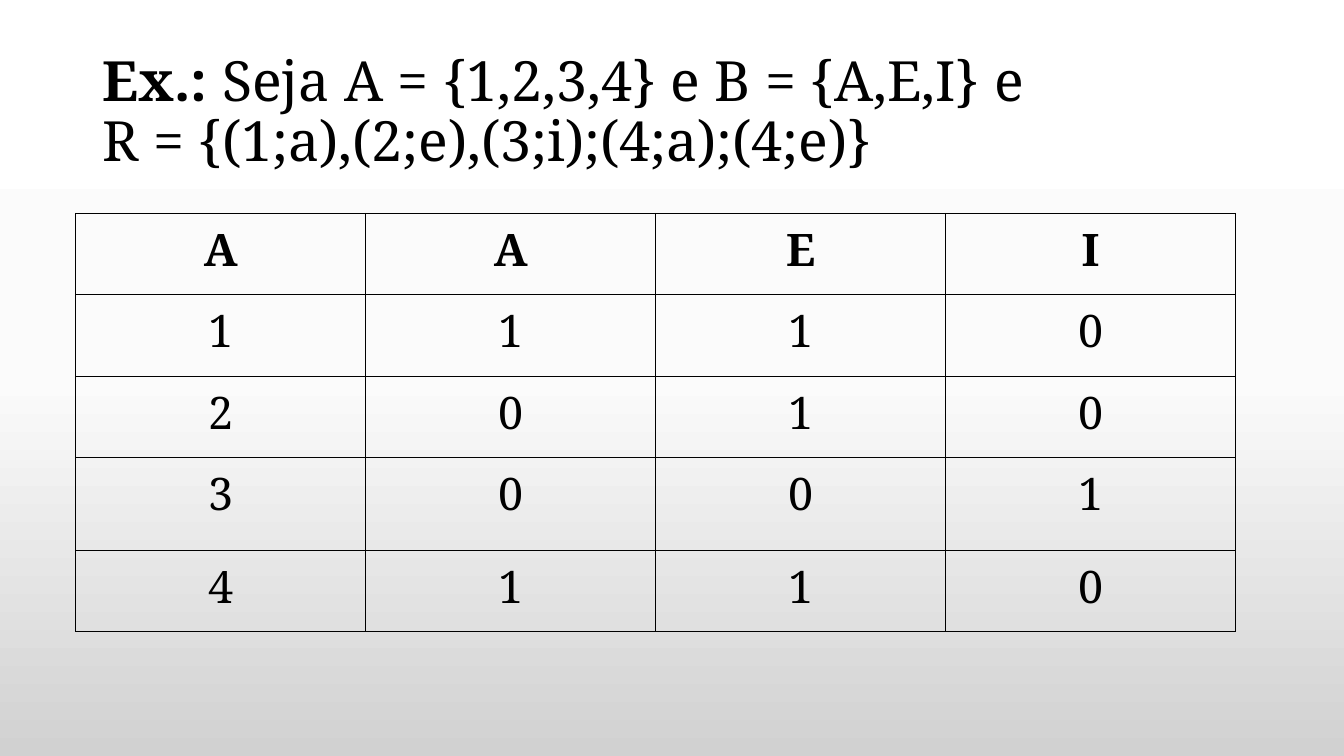
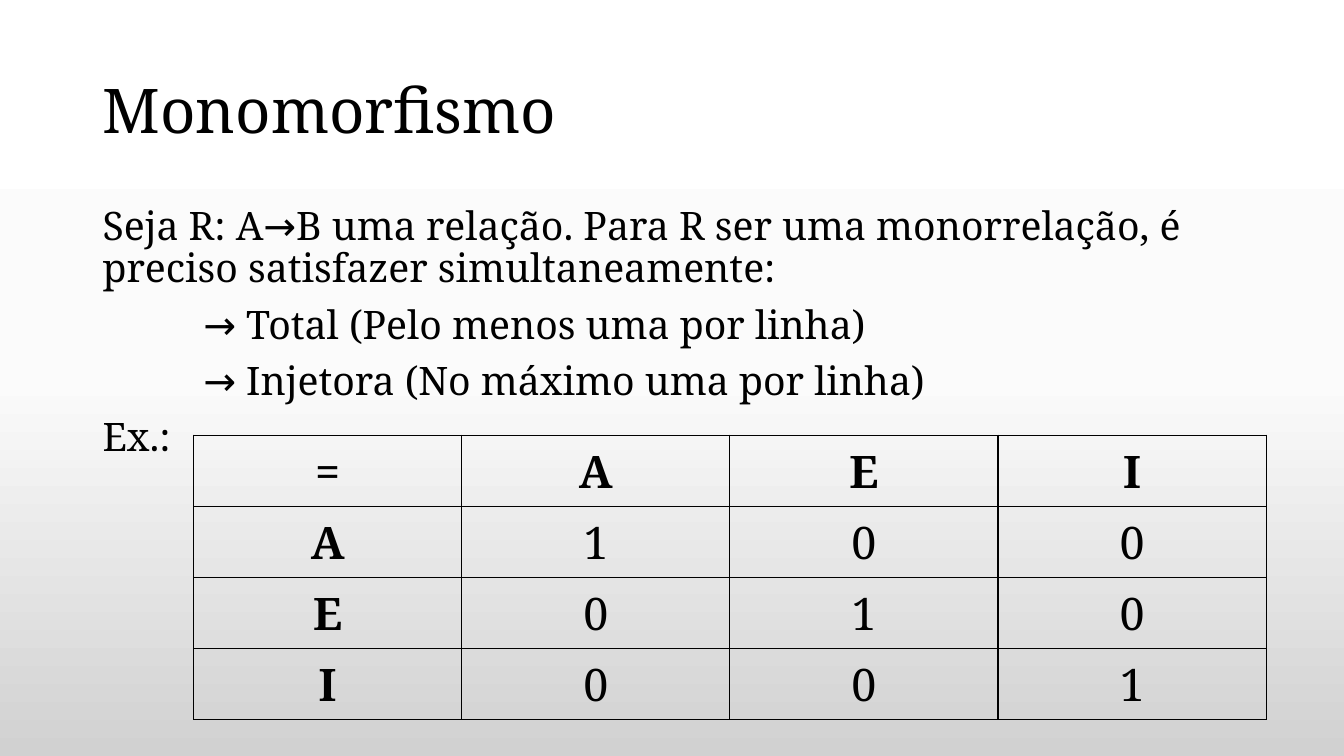
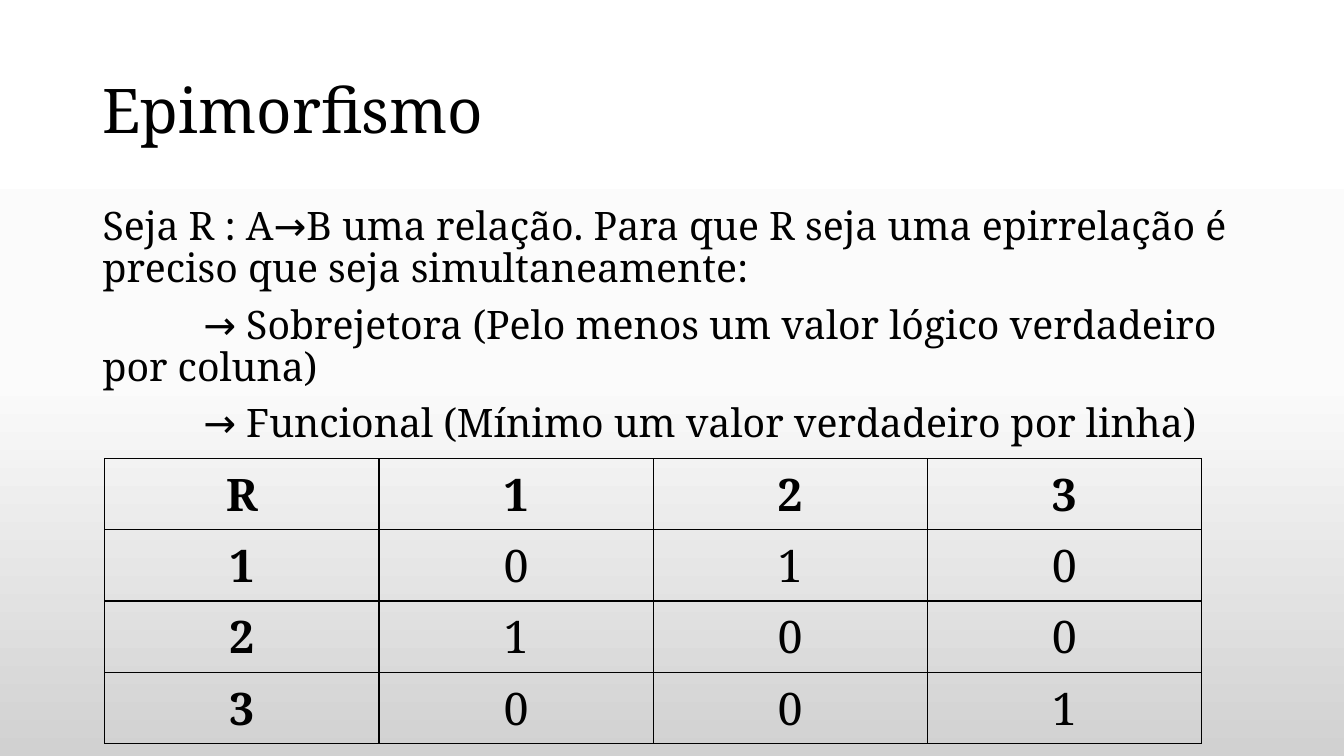
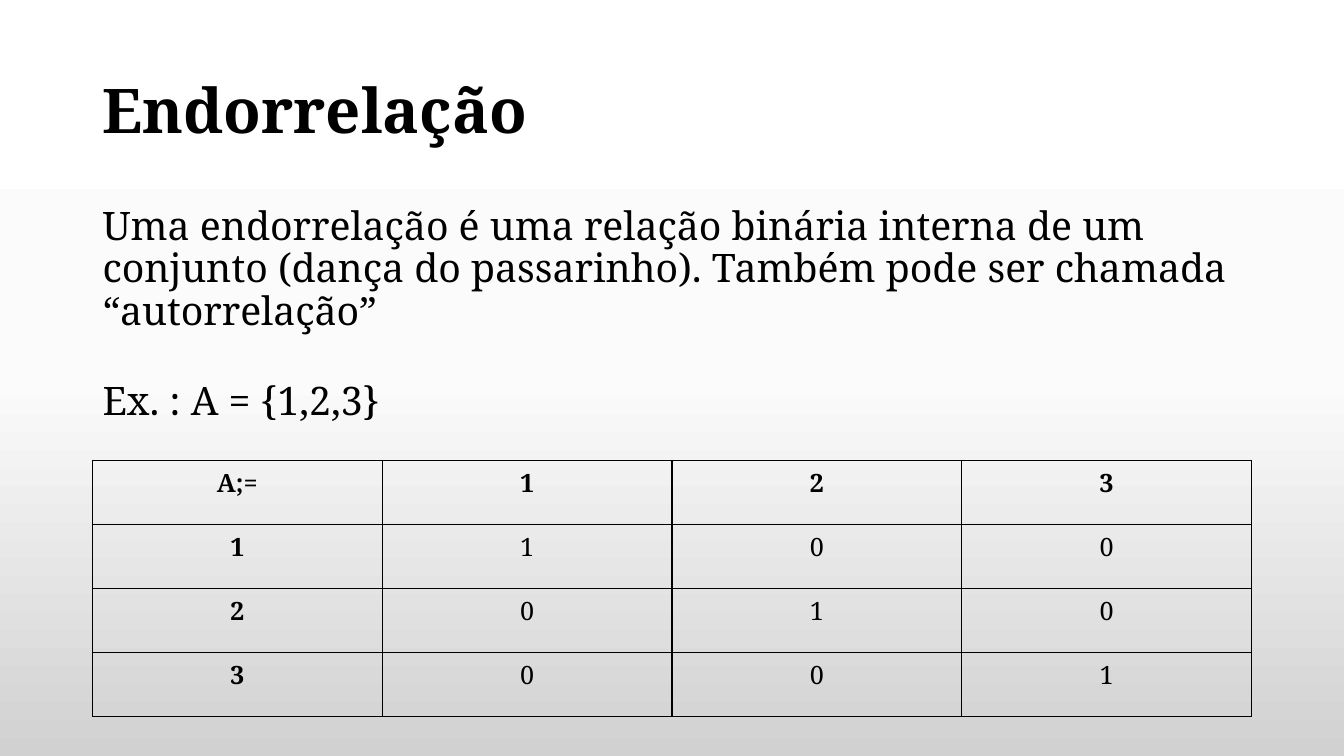
from copy import deepcopy

from lxml.etree import SubElement
from pptx import Presentation
from pptx.dml.color import RGBColor
from pptx.enum.text import MSO_ANCHOR, MSO_AUTO_SIZE, PP_ALIGN
from pptx.oxml.ns import qn
from pptx.util import Cm, Pt

# Content: title lines are lists of (text, bold); body items are (text, indented, space after)
SLIDES = [
    {
        "title": [[("Ex.: ", True), ("Seja A = {1,2,3,4} e B = {A,E,I} e", False)],
                  [("R = {(1;a),(2;e),(3;i);(4;a);(4;e)}", False)]],
        "title_size": 39.6,
        "body": [],
        "table": ["A A E I", "1 1 1 0", "2 0 1 0", "3 0 0 1", "4 1 1 0"],
        "box": (1.91, 5.38, 29.23),
        "row_heights": [2.05, 2.05, 2.05, 2.34, 2.05],
        "cell_size": 32,
        "bold_first_column": False,
    },
    {
        "title": [[("Monomorfismo", False)]],
        "title_size": 44,
        "body": [
            ("Seja R: A→B uma relação. Para R ser uma monorrelação, é preciso "
             "satisfazer simultaneamente:", False, 0),
            ("→ Total (Pelo menos uma por linha)", True, 0),
            ("→ Injetora (No máximo uma por linha)", True, 0),
            ("Ex.:", False, 0),
        ],
        "table": ["= A E I", "A 1 0 0", "E 0 1 0", "I 0 0 1"],
        "box": (4.88, 10.97, 27.03),
        "row_heights": [1.77] * 4,
        "cell_size": 32,
        "bold_first_column": True,
    },
    {
        "title": [[("Epimorfismo", False)]],
        "title_size": 44,
        "body": [
            ("Seja R : A→B uma relação. Para que R seja uma epirrelação é preciso "
             "que seja simultaneamente:", False, 0),
            ("→ Sobrejetora (Pelo menos um valor lógico verdadeiro por coluna)", True, 0),
            ("→ Funcional (Mínimo um valor verdadeiro por linha)", True, 0),
        ],
        "table": ["R 1 2 3", "1 0 1 0", "2 1 0 0", "3 0 0 1"],
        "box": (2.64, 11.56, 27.64),
        "row_heights": [1.62] * 4,
        "cell_size": 32,
        "bold_first_column": True,
    },
    {
        "title": [[("Endorrelação", True)]],
        "title_size": 44,
        "body": [
            ("Uma endorrelação é uma relação binária interna de um conjunto (dança do "
             "passarinho). Também pode ser chamada “autorrelação”", False, 24),
            ("Ex. : A = {1,2,3}", False, 0),
        ],
        "table": ["A;= 1 2 3", "1 1 0 0", "2 0 1 0", "3 0 0 1"],
        "box": (2.33, 11.61, 29.21),
        "row_heights": [1.61] * 4,
        "cell_size": 18,
        "bold_first_column": True,
    },
]

# Shared style
FONT = "Noto Serif"
INK = "000000"
BACKGROUND = [(0, "FFFFFF"), (0.5, "FBFBFB"), (1, "D1D1D1")]
TITLE_BOX = (2.33, 1.02, 29.21, 3.68)
BODY_BOX = (2.33, 5.08, 29.21, 12.09)
BODY_SIZE = 28
INDENT = Cm(2.54)
BORDER = Pt(1)


def color(value):
    return RGBColor.from_string(value)


def style(span, size, bold=False):
    span.font.name = FONT
    span.font.size = Pt(size)
    span.font.bold = bold
    span.font.color.rgb = color(INK)


def place(shape, box):
    shape.left, shape.top, shape.width, shape.height = map(Cm, box)


def set_up_master(master):
    fill = master.background.fill
    fill.gradient()
    fill.gradient_angle = 270
    stops = next(master.element.iter(qn("a:gsLst")))
    stops.append(deepcopy(stops[0]))
    for stop, (position, shade) in zip(fill.gradient_stops, BACKGROUND):
        stop.position = position
        stop.color.rgb = color(shade)
    for index, box in enumerate((TITLE_BOX, BODY_BOX)):
        place(master.placeholders[index], box)


def write_title(shape, lines, size):
    frame = shape.text_frame
    frame.auto_size = MSO_AUTO_SIZE.NONE
    frame.vertical_anchor = MSO_ANCHOR.MIDDLE
    para = frame.paragraphs[0]
    para.alignment = PP_ALIGN.LEFT
    para.line_spacing = 0.9
    for number, line in enumerate(lines):
        if number:
            para.add_line_break()
        for text, bold in line:
            span = para.add_run()
            span.text = text
            style(span, size, bold)


def write_body(shape, items):
    frame = shape.text_frame
    frame.auto_size = MSO_AUTO_SIZE.NONE
    frame.text = "\n".join(text for text, _, _ in items)
    for para, (_, indented, after) in zip(frame.paragraphs, items):
        para.line_spacing = 0.9
        para.space_before = Pt(10)
        para.space_after = Pt(after)
        # Plain paragraph: no bullet, only the first line may be indented
        properties = para._p.get_or_add_pPr()
        properties.set("marL", "0")
        properties.set("indent", str(INDENT if indented else 0))
        SubElement(properties, qn("a:buNone"))
        for span in para.runs:
            style(span, BODY_SIZE)


def draw_borders(cell):
    properties = cell._tc.get_or_add_tcPr()
    for side in ("lnL", "lnR", "lnT", "lnB"):
        line = SubElement(properties, qn(f"a:{side}"), w=str(BORDER))
        solid = SubElement(line, qn("a:solidFill"))
        SubElement(solid, qn("a:srgbClr"), val=INK)


def add_grid(page, content):
    rows = [row.split() for row in content["table"]]
    left, top, width = content["box"]
    heights = content["row_heights"]
    columns = len(rows[0])
    table = page.shapes.add_table(len(rows), columns, Cm(left), Cm(top),
                                  Cm(width), Cm(sum(heights))).table
    table.first_row = table.horz_banding = False
    for column in table.columns:
        column.width = Cm(width / columns)
    for row_number, (values, height) in enumerate(zip(rows, heights)):
        table.rows[row_number].height = Cm(height)
        for column_number, value in enumerate(values):
            cell = table.cell(row_number, column_number)
            draw_borders(cell)
            cell.fill.background()
            cell.text_frame.text = value
            para = cell.text_frame.paragraphs[0]
            para.alignment = PP_ALIGN.CENTER
            header = row_number == 0 or (column_number == 0 and content["bold_first_column"])
            style(para.runs[0], content["cell_size"], header)


# Build the deck
deck = Presentation()
deck.slide_width, deck.slide_height = Cm(33.87), Cm(19.05)
set_up_master(deck.slide_master)
with_body = deck.slide_layouts.get_by_name("Title and Content")
title_only = deck.slide_layouts.get_by_name("Title Only")

for content in SLIDES:
    page = deck.slides.add_slide(with_body if content["body"] else title_only)
    write_title(page.shapes.title, content["title"], content["title_size"])
    if content["body"]:
        write_body(page.placeholders[1], content["body"])
    add_grid(page, content)

deck.save("out.pptx")
